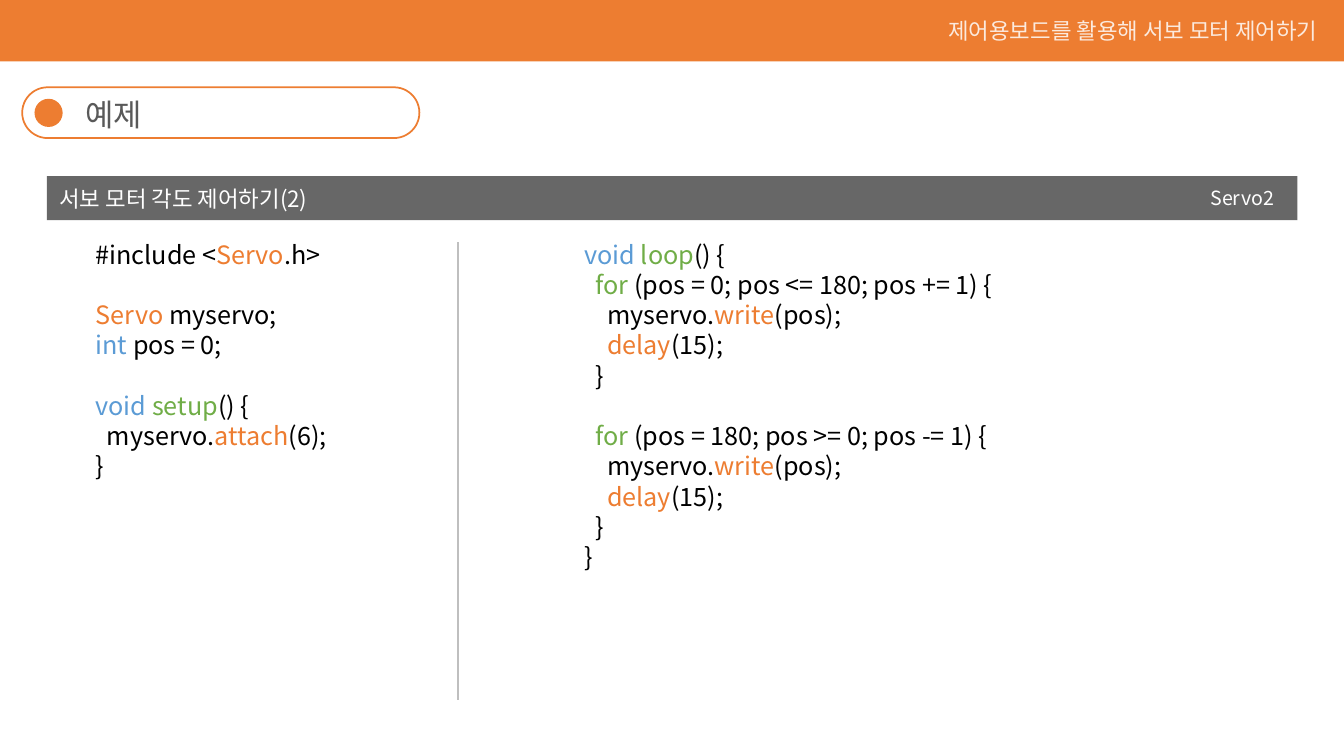
"""Build the servo motor example slide with two columns of code."""
from dataclasses import dataclass

from lxml import etree
from pptx import Presentation
from pptx import util as u
from pptx.dml.color import RGBColor
from pptx.enum import shapes, text
from pptx.oxml import ns


@dataclass(frozen=True)
class Theme:
    font: str = "Noto Sans CJK KR"
    orange: str = "ED7D31"
    blue: str = "5B9BD5"
    green: str = "70AD47"
    grey: str = "595959"
    rule: str = "BFBFBF"
    white: str = "FFFFFF"
    black: str = "000000"
    heading: int = 22
    code: int = 18
    label: int = 16
    note: int = 14


theme = Theme()
token_colors = {
    "Servo": theme.orange, "attach": theme.orange, "write": theme.orange,
    "delay": theme.orange, "int": theme.blue, "void": theme.blue,
    "setup": theme.green, "loop": theme.green, "for": theme.green,
}


def paint(color_format, color, alpha=100):
    color_format.rgb = RGBColor.from_string(color)
    if alpha < 100:
        for node in color_format._xFill.iter(ns.qn("a:srgbClr")):
            etree.SubElement(node, ns.qn("a:alpha"), val=str(alpha * 1000))


def add_text(page, place, lines, size, color, alpha=100, align=text.PP_ALIGN.LEFT, pitch=1.2):
    frame = page.shapes.add_textbox(*map(u.Cm, place)).text_frame
    frame.word_wrap = True
    frame.vertical_anchor = text.MSO_ANCHOR.MIDDLE if len(lines) == 1 else text.MSO_ANCHOR.TOP
    gap = 0
    para = frame.paragraphs[0]
    for index, line in enumerate(lines):
        if not line:
            gap = size * pitch
            continue
        para = frame.add_paragraph() if index else para
        layout = {"alignment": align, "line_spacing": u.Pt(size * pitch)}
        if gap:
            layout["space_before"] = u.Pt(gap)
        for name, value in layout.items():
            setattr(para, name, value)
        gap = 0
        for token in line.split("|"):
            span = para.add_run()
            span.text = token
            for name, value in {"name": theme.font, "size": u.Pt(size)}.items():
                setattr(span.font, name, value)
            span.font.fill.solid()
            paint(span.font.fill.fore_color, token_colors.get(token.strip(), color), alpha)
            etree.SubElement(span.font._element, ns.qn("a:ea"), typeface=theme.font)


deck = Presentation()
deck.slide_width, deck.slide_height = u.Cm(33.87), u.Cm(19.05)
page = deck.slides.add_slide(deck.slide_layouts[6])

kinds = shapes.MSO_SHAPE
panels = [
    (kinds.RECTANGLE, (0, 0, 33.87, 1.55), theme.orange, 100, None),
    (kinds.ROUNDED_RECTANGLE, (0.56, 2.2, 10.01, 1.28), theme.white, 100, theme.orange),
    (kinds.OVAL, (0.87, 2.49, 0.71, 0.71), theme.orange, 100, None),
    (kinds.RECTANGLE, (1.18, 4.44, 31.52, 1.11), theme.grey, 91, None),
]
for kind, place, fill, alpha, outline in panels:
    panel = page.shapes.add_shape(kind, *map(u.Cm, place))
    panel.shadow.inherit = False
    panel.fill.solid()
    paint(panel.fill.fore_color, fill, alpha)
    if kind == kinds.ROUNDED_RECTANGLE:
        panel.adjustments[0] = 0.5
    if outline:
        paint(panel.line.color, outline)
        panel.line.width = u.Pt(1.25)
    else:
        panel.line.fill.background()

divider = page.shapes.add_connector(
    shapes.MSO_CONNECTOR.STRAIGHT, *map(u.Cm, (11.54, 6.1, 11.54, 17.65)))
paint(divider.line.color, theme.rule)
divider.line.width = u.Pt(1.75)
etree.SubElement(divider._element.spPr, ns.qn("a:effectLst"))

add_text(page, (23.65, 0.3, 10.85, 0.94), ["제어용보드를 활용해 서보 모터 제어하기"],
         theme.label, theme.white, alpha=83)
add_text(page, (1.9, 2.43, 8.28, 0.97), ["예제"], theme.heading, theme.grey, pitch=1.08)
add_text(page, (1.25, 4.53, 16.05, 0.94), ["서보 모터 각도 제어하기(2)"], theme.label, theme.white)
add_text(page, (27.43, 4.55, 4.93, 0.86), ["Servo2"], theme.note, theme.white,
         align=text.PP_ALIGN.RIGHT)

setup_code = [
    "#include <|Servo|.h>",
    "",
    "Servo |myservo;",
    "int |pos = 0;",
    "",
    "void |setup|() {",
    "  myservo.|attach|(6);",
    "}",
]
sweeps = ["pos = 0; pos <= 180; pos += 1", "pos = 180; pos >= 0; pos -= 1"]
loop_code = ["void |loop|() {"]
for index, sweep in enumerate(sweeps):
    loop_code += [""] * index
    loop_code += [
        f"  |for| ({sweep}) {{",
        "    myservo.|write|(pos);",
        "    |delay|(15);",
        "  }",
    ]
loop_code.append("}")
for left, height, lines in [(2.16, 6.4, setup_code), (14.48, 8.71, loop_code)]:
    add_text(page, (left, 5.9, 11.99, height), lines, theme.code, theme.black)

deck.save("out.pptx")
